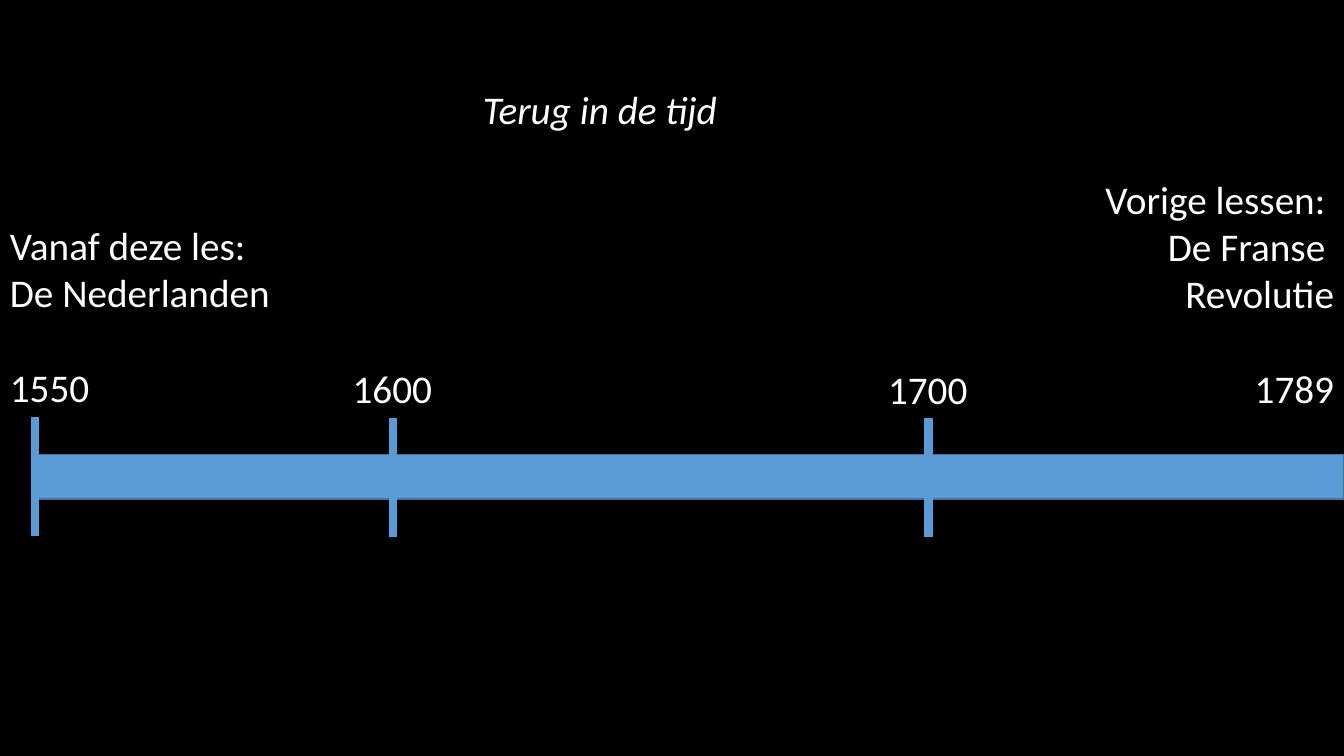
"""Build a timeline slide running from 1550 to 1789."""
import pptx
import pptx.util
import pptx.dml.color
import pptx.enum.shapes
import pptx.enum.text
import pptx.oxml.ns
import lxml.etree

Inches = pptx.util.Inches
Pt = pptx.util.Pt
RGBColor = pptx.dml.color.RGBColor
PP_ALIGN = pptx.enum.text.PP_ALIGN

BLACK = RGBColor(0x00, 0x00, 0x00)
WHITE = RGBColor(0xFF, 0xFF, 0xFF)
BLUE = RGBColor(0x5B, 0x9B, 0xD5)
DARK_BLUE = RGBColor(0x43, 0x73, 0x9E)

prs = pptx.Presentation()
prs.slide_width = Inches(13.33)
prs.slide_height = Inches(7.5)
slide = prs.slides.add_slide(prs.slide_layouts[6])
slide.background.fill.solid()
slide.background.fill.fore_color.rgb = BLACK


def add_text(lines, left, top, width, height, align=PP_ALIGN.LEFT, italic=False, last_gap=0):
    tb = slide.shapes.add_textbox(Inches(left), Inches(top), Inches(width), Inches(height))
    tf = tb.text_frame
    tf.word_wrap = False
    tf.auto_size = pptx.enum.text.MSO_AUTO_SIZE.SHAPE_TO_FIT_TEXT
    for i, line in enumerate(lines):
        p = tf.paragraphs[0] if i == 0 else tf.add_paragraph()
        p.alignment = align
        r = p.add_run()
        r.text = line
        r.font.name = "Calibri"
        r.font.size = Pt(28)
        r.font.italic = italic
        r.font.color.rgb = WHITE
    if last_gap:
        p.space_before = Pt(last_gap)


add_text(["Vanaf deze les:", "De Nederlanden", "1550"], 0, 2.15, 2.81, 1.99, last_gap=34)

bar = slide.shapes.add_shape(
    pptx.enum.shapes.MSO_SHAPE.RECTANGLE, Inches(0.35), Inches(4.51), Inches(12.98), Inches(0.44))
bar.shadow.inherit = False
bar.fill.solid()
bar.fill.fore_color.rgb = BLUE
bar.line.color.rgb = DARK_BLUE
bar.line.width = Pt(1)

add_text(["Terug in de tijd"], 4.69, 0.8, 2.55, 0.57, italic=True)
add_text(["Vorige lessen: ", "De Franse ", "Revolutie", "1789"], 10.84, 1.69, 2.49, 2.46,
         align=PP_ALIGN.RIGHT, last_gap=34)

for x, top in [(0.35, 4.14), (3.9, 4.15), (9.21, 4.15)]:
    tick = slide.shapes.add_connector(
        pptx.enum.shapes.MSO_CONNECTOR.STRAIGHT,
        Inches(x), Inches(top), Inches(x), Inches(top + 1.18))
    tick.line.color.rgb = BLUE
    tick.line.width = Pt(6)
    lxml.etree.SubElement(tick._element.spPr, pptx.oxml.ns.qn("a:effectLst"))

for year, x, top in [("1600", 3.9, 3.57), ("1700", 9.21, 3.58)]:
    add_text([year], x - 0.5, top, 1, 0.57)

prs.save("out.pptx")
